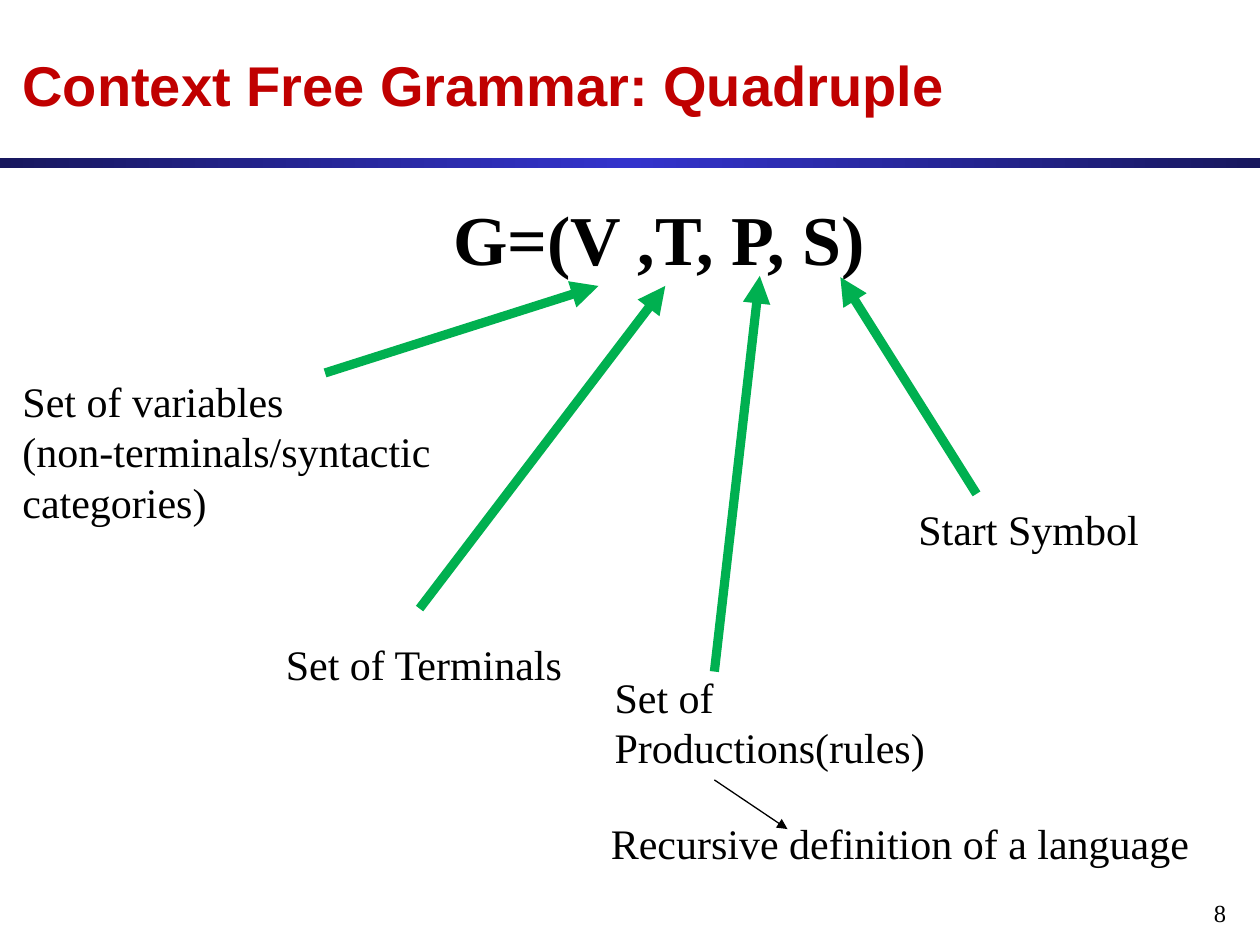
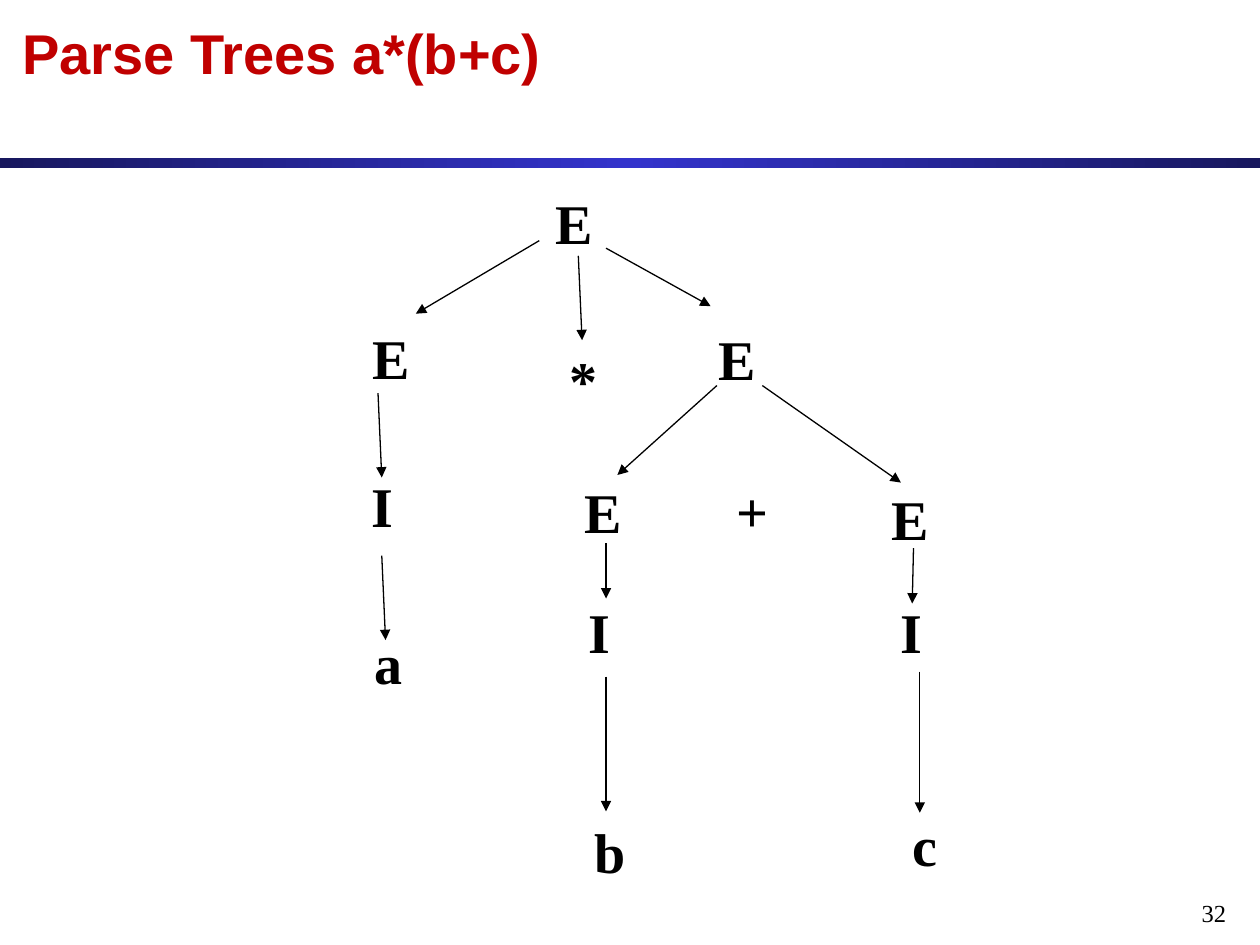
import copy

import lxml.etree
import pptx
import pptx.dml.color
import pptx.enum.shapes
import pptx.enum.text
import pptx.util
from pptx.oxml.ns import qn

Inches = pptx.util.Inches
Pt = pptx.util.Pt
RGBColor = pptx.dml.color.RGBColor
ANCHOR = pptx.enum.text.MSO_ANCHOR
ALIGN = pptx.enum.text.PP_ALIGN

RED = RGBColor(0xC0, 0x00, 0x00)
GREEN = RGBColor(0x00, 0xB0, 0x50)
BLACK = RGBColor(0x00, 0x00, 0x00)
NAVY = RGBColor(0x18, 0x18, 0x5E)
BLUE = RGBColor(0x33, 0x33, 0xCC)

# Content: grammar slide (text, left, top, width, height)
GRAMMAR_TITLE = "Context Free Grammar: Quadruple"
QUADRUPLE = ("G=(V ,T, P, S)", 3.5, 1.5, 3.57, 0.77)
MEANINGS = [
    ("Set of variables\n(non-terminals/syntactic categories)", 0.08, 2.93, 3.58, 1.3),
    ("Set of Terminals", 2.17, 5.02, 2.61, 0.5),
    ("Set of Productions(rules)", 4.78, 5.28, 2.8, 0.9),
    ("Start Symbol", 7.19, 3.95, 2.61, 0.5),
    ("Recursive definition of a language", 4.75, 6.44, 4.83, 0.5),
]
MEANING_ARROWS = [
    ((2.58, 2.96), (4.75, 2.27)),
    ((7.75, 3.92), (6.67, 2.2)),
    ((3.33, 4.83), (5.28, 2.27)),
    ((5.67, 5.33), (6.03, 2.19)),
]
RECURSION_ARROW = ((5.67, 6.19), (6.25, 6.58))

# Content: parse tree slide (symbol, left, top)
TREE_TITLE = "Parse Trees a*(b+c)"
TREE_NODES = [
    ("E", 4.31, 1.45),
    ("E", 2.86, 2.52), ("*", 4.42, 2.69), ("E", 5.6, 2.53),
    ("I", 2.85, 3.69), ("E", 4.54, 3.74), ("+", 5.75, 3.73), ("E", 6.98, 3.8),
    ("a", 2.87, 4.94), ("I", 4.57, 4.69), ("I", 7.05, 4.69),
    ("b", 4.62, 6.44), ("c", 7.14, 6.38),
]
NODE_SIZE = (1.55, 0.64)
TREE_ARROWS = [
    ((4.28, 1.91), (3.3, 2.49)),
    ((4.59, 2.03), (4.62, 2.7)),
    ((4.81, 1.97), (5.64, 2.43)),
    ((3, 3.12), (3.03, 3.79)),
    ((3.03, 4.41), (3.06, 5.08)),
    ((5.69, 3.06), (4.9, 3.77)),
    ((6.05, 3.06), (7.15, 3.83)),
    ((4.81, 4.31), (4.81, 4.75)),
    ((7.25, 4.35), (7.24, 4.79)),
    ((4.81, 5.37), (4.81, 6.44)),
    ((7.3, 5.33), (7.3, 6.45)),
]

# Shared formats
BAND_STOPS = [(0, NAVY), (0.5, BLUE), (1, NAVY)]
TITLE_FONT = {"name": "Arial", "size": Pt(32), "bold": True}
NUMBER_FONT = {"name": "Times New Roman", "size": Pt(14)}
MEANING_FONT = {"name": "Times New Roman", "size": Pt(24)}
QUADRUPLE_FONT = {"name": "Times New Roman", "size": Pt(40), "bold": True}
NODE_FONT = {"name": "Times New Roman", "size": Pt(32), "bold": True}


def add_text(slide, text, left, top, width, height, font, color=BLACK,
             align=ALIGN.LEFT, **frame_format):
    box = slide.shapes.add_textbox(*map(Inches, (left, top, width, height)))
    frame = box.text_frame
    for key, value in {"word_wrap": True, **frame_format}.items():
        setattr(frame, key, value)
    frame.text = text
    for paragraph in frame.paragraphs:
        paragraph.alignment = align
        for run in paragraph.runs:
            for key, value in font.items():
                setattr(run.font, key, value)
            run.font.color.rgb = color


def add_arrow(slide, start, end, color=BLACK, width=0.75):
    arrow = slide.shapes.add_connector(
        pptx.enum.shapes.MSO_CONNECTOR.STRAIGHT, *map(Inches, start + end))
    arrow.line.color.rgb = color
    arrow.line.width = Pt(width)
    properties = arrow._element.spPr
    lxml.etree.SubElement(properties.find(qn("a:ln")), qn("a:tailEnd"), type="triangle")
    lxml.etree.SubElement(properties, qn("a:effectLst"))


def add_band(slide):
    band = slide.shapes.add_shape(
        pptx.enum.shapes.MSO_SHAPE.RECTANGLE, *map(Inches, (0, 1.25, 10, 0.08)))
    band.shadow.inherit = False
    band.line.fill.background()
    band.fill.gradient()
    band.fill.gradient_angle = 0
    # The default gradient has two stops; add the third
    stop_list = band._element.spPr.find(qn("a:gradFill")).find(qn("a:gsLst"))
    stop_list.append(copy.deepcopy(stop_list[0]))
    for stop, (position, color) in zip(band.fill.gradient_stops, BAND_STOPS):
        stop.position = position
        stop.color.rgb = color


def start_slide(deck, title, number, title_top, title_height, **title_format):
    slide = deck.slides.add_slide(deck.slide_layouts[6])
    add_band(slide)
    add_text(slide, title, 0.08, title_top, 9.83, title_height, TITLE_FONT, RED,
             vertical_anchor=ANCHOR.MIDDLE, **title_format)
    add_text(slide, str(number), 7.75, 7.08, 2.08, 0.25, NUMBER_FONT,
             align=ALIGN.RIGHT)
    return slide


def build_grammar_slide(deck):
    slide = start_slide(deck, GRAMMAR_TITLE, 8, 0.17, 1)
    add_text(slide, *QUADRUPLE, QUADRUPLE_FONT, word_wrap=False)
    for start, end in MEANING_ARROWS:
        add_arrow(slide, start, end, GREEN, 5.25)
    for meaning in MEANINGS:
        add_text(slide, *meaning, MEANING_FONT)
    add_arrow(slide, *RECURSION_ARROW)


def build_tree_slide(deck):
    # The deep bottom margin lifts the title to the upper half of its box
    slide = start_slide(deck, TREE_TITLE, 32, 0.08, 1.17,
                        margin_bottom=Inches(0.55))
    for symbol, left, top in TREE_NODES:
        add_text(slide, symbol, left, top, *NODE_SIZE, NODE_FONT)
    for start, end in TREE_ARROWS:
        add_arrow(slide, start, end)


def main():
    deck = pptx.Presentation()
    deck.slide_width, deck.slide_height = Inches(10), Inches(7.5)
    build_grammar_slide(deck)
    build_tree_slide(deck)
    deck.save("out.pptx")


if __name__ == "__main__":
    main()
